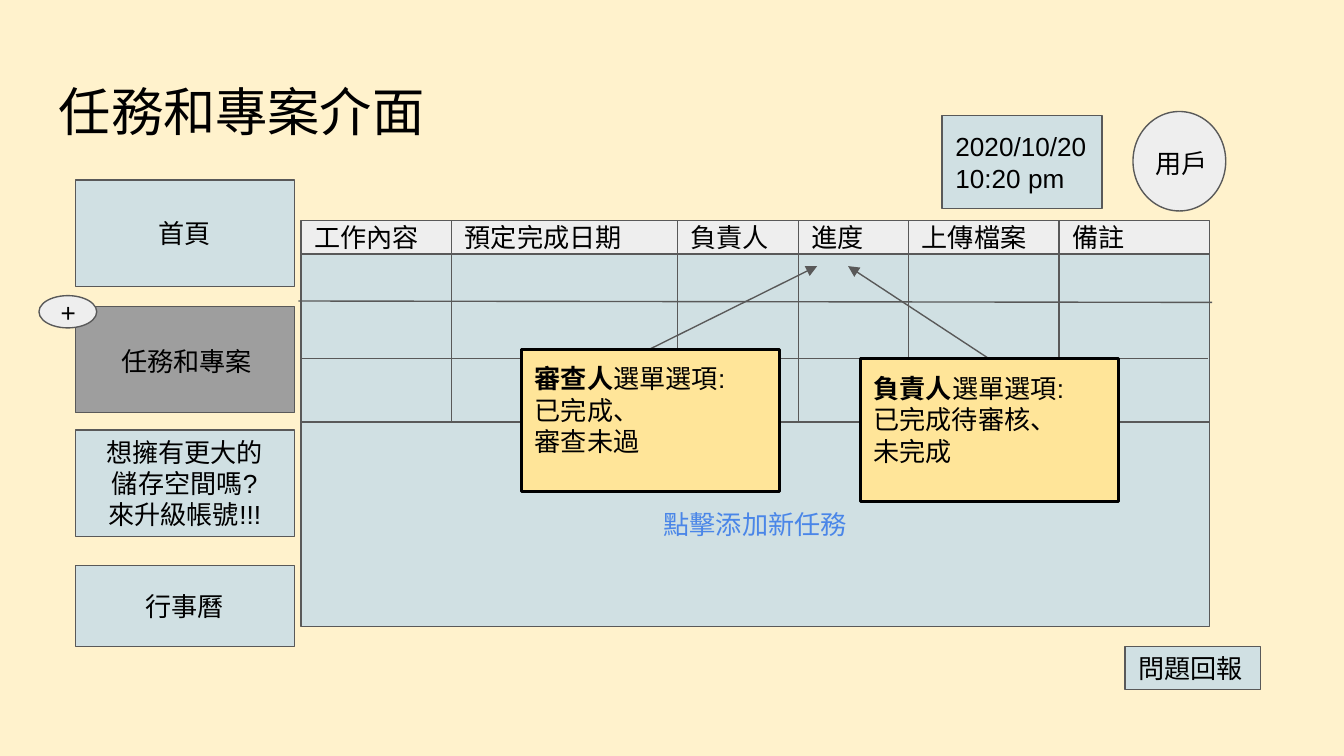
from dataclasses import dataclass
from itertools import accumulate

from lxml.etree import SubElement
from pptx import Presentation
from pptx.dml.color import RGBColor
from pptx.enum.shapes import MSO_CONNECTOR, MSO_SHAPE
from pptx.enum.text import MSO_ANCHOR, PP_ALIGN
from pptx.oxml.ns import qn
from pptx.util import Inches, Pt

HEX = {
    "cream": "FFF2CC", "pale": "D0E0E3", "light": "EEEEEE", "gray": "9E9E9E",
    "edge": "595959", "note": "FFE599", "black": "000000", "blue": "4A86E8",
}


@dataclass
class Box:
    left: float
    top: float
    width: float
    height: float
    text: str = ""
    fill: str = "pale"
    align: PP_ALIGN = PP_ALIGN.LEFT
    color: str = "black"
    kind: MSO_SHAPE = MSO_SHAPE.RECTANGLE


@dataclass
class Column:
    label: str
    width: float


@dataclass
class Note:
    left: float
    top: float
    who: str
    lines: str
    tail: tuple
    tip: tuple


def rgb(name: str) -> RGBColor:
    return RGBColor.from_string(HEX[name])


def write(shape, text: str, *, size=14, font="Arial", color="black", lead="",
          align=PP_ALIGN.LEFT, anchor=MSO_ANCHOR.TOP) -> None:
    """Fill a shape with lines of text; lead is a bold start of the first line."""
    frame = shape.text_frame
    frame.word_wrap = True
    frame.vertical_anchor = anchor
    frame.margin_left = frame.margin_right = Inches(0.1)
    frame.margin_top = frame.margin_bottom = Inches(0.1)
    for row, line in enumerate(text.split("\n")):
        para = frame.add_paragraph() if row else frame.paragraphs[0]
        para.alignment = align
        parts = [(line, False)]
        if lead and row == 0:
            parts.insert(0, (lead, True))
        for words, bold in parts:
            run = para.add_run()
            run.text = words
            run.font.size = Pt(size)
            run.font.name = font
            run.font.bold = bold
            run.font.color.rgb = rgb(color)


def label(slide, left: float, top: float, width: float, height: float,
          text: str, **style) -> None:
    area = slide.shapes.add_textbox(
        Inches(left), Inches(top), Inches(width), Inches(height))
    write(area, text, **style)


def draw(slide, box: Box, edge="edge", weight=0.75):
    shape = slide.shapes.add_shape(
        box.kind, Inches(box.left), Inches(box.top),
        Inches(box.width), Inches(box.height))
    shape.shadow.inherit = False
    shape.fill.solid()
    shape.fill.fore_color.rgb = rgb(box.fill)
    shape.line.color.rgb = rgb(edge)
    shape.line.width = Pt(weight)
    if box.text:
        write(shape, box.text, color=box.color, align=box.align,
              anchor=MSO_ANCHOR.MIDDLE)
    return shape


def link(slide, start: tuple, end: tuple, arrow=False) -> None:
    line = slide.shapes.add_connector(
        MSO_CONNECTOR.STRAIGHT, *map(Inches, start + end))
    line.line.color.rgb = rgb("edge")
    line.line.width = Pt(0.75)
    props = line._element.spPr
    if arrow:
        SubElement(props.find(qn("a:ln")), qn("a:tailEnd"), type="triangle")
    SubElement(props, qn("a:effectLst"))


def pin(slide, note: Note) -> None:
    link(slide, note.tail, note.tip, arrow=True)
    card = draw(slide, Box(note.left, note.top, 1.92, 1.06, fill="note"),
                edge="black", weight=1.5)
    write(card, note.lines, lead=note.who)


COLUMNS = [
    Column("工作內容", 1.12), Column("預定完成日期", 1.68), Column("負責人", 0.9),
    Column("進度", 0.82), Column("上傳檔案", 1.12), Column("備註", 1.12),
]
LEFT, HEAD, BODY, FOOT = 2.24, 1.64, 1.89, 3.14
RULES = [
    ((2.22, 2.24), (9.02, 2.25)),
    ((2.25, 2.67), (8.99, 2.67)),
    ((LEFT, FOOT), (9, FOOT)),
]
MID = PP_ALIGN.CENTER
MENU = [
    Box(0.56, 1.34, 1.63, 0.79, "首頁", align=MID),
    Box(0.56, 2.28, 1.63, 0.79, fill="gray"),
    Box(0.56, 3.2, 1.63, 0.79, "想擁有更大的\n儲存空間嗎?\n來升級帳號!!!", align=MID),
    Box(0.56, 4.21, 1.63, 0.6, "行事曆", align=MID),
    Box(0.29, 2.2, 0.43, 0.24, "+", "light", kind=MSO_SHAPE.OVAL),
]
CORNER = [
    Box(7.01, 0.86, 1.19, 0.69, "2020/10/20\n10:20 pm"),
    Box(8.43, 0.83, 0.69, 0.74, fill="light", kind=MSO_SHAPE.OVAL),
    Box(8.37, 4.81, 1.01, 0.32, "問題回報"),
]
NOTES = [
    Note(6.4, 2.67, "負責人", "選單選項:\n已完成待審核、\n未完成",
         (7.36, 2.67), (6.31, 1.98)),
    Note(3.88, 2.6, "審查人", "選單選項:\n已完成、\n審查未過",
         (4.83, 2.6), (6.08, 1.98)),
]


def main() -> None:
    deck = Presentation()
    # Widescreen, 16 to 9
    deck.slide_width = Inches(10)
    deck.slide_height = Inches(10) * 9 // 16
    slide = deck.slides.add_slide(deck.slide_layouts[6])
    slide.background.fill.solid()
    slide.background.fill.fore_color.rgb = rgb("cream")

    # Title
    label(slide, 0.34, 0.49, 9.32, 0.63, "任務和專案介面", size=28)

    # Side menu, clock, user and feedback button
    for box in MENU + CORNER:
        draw(slide, box)
    label(slide, 0.76, 2.47, 1.23, 0.6, " 任務和專案", font="Lato")
    label(slide, 8.5, 1, 1.5, 0.74, "用戶", font="Lato")

    # Task grid: header cells above tall column cells
    widths = [col.width for col in COLUMNS]
    edges = list(accumulate(widths, initial=LEFT))
    for left, col in zip(edges, COLUMNS):
        draw(slide, Box(left, HEAD, col.width, BODY - HEAD, col.label, "light"))
        draw(slide, Box(left, BODY, col.width, FOOT - BODY))
    for start, end in RULES:
        link(slide, start, end)
    draw(slide, Box(LEFT, FOOT, sum(widths), 1.52, "點擊添加新任務",
                    align=MID, color="blue"))

    # Notes on the progress menu
    for note in NOTES:
        pin(slide, note)

    deck.save("out.pptx")


if __name__ == "__main__":
    main()
